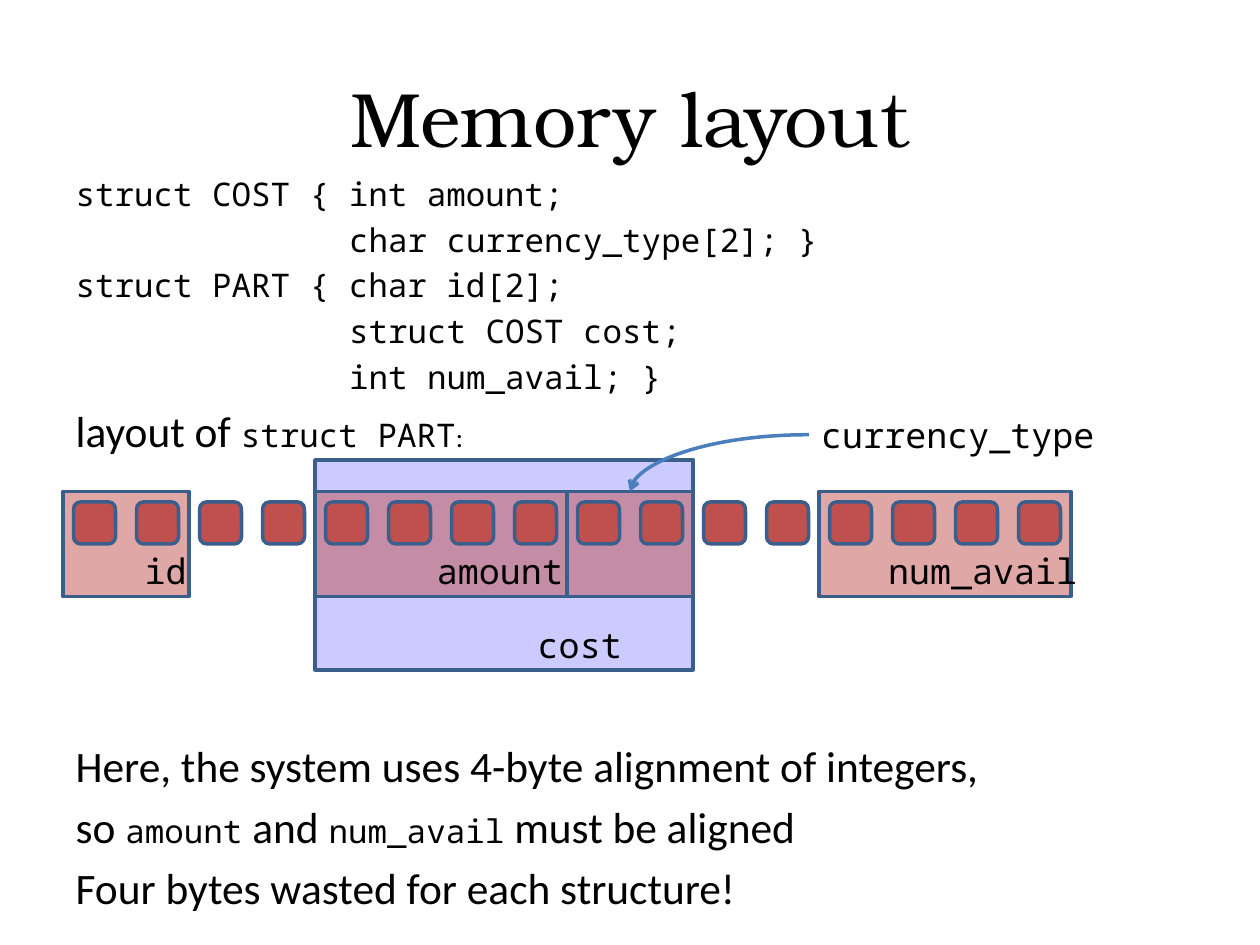
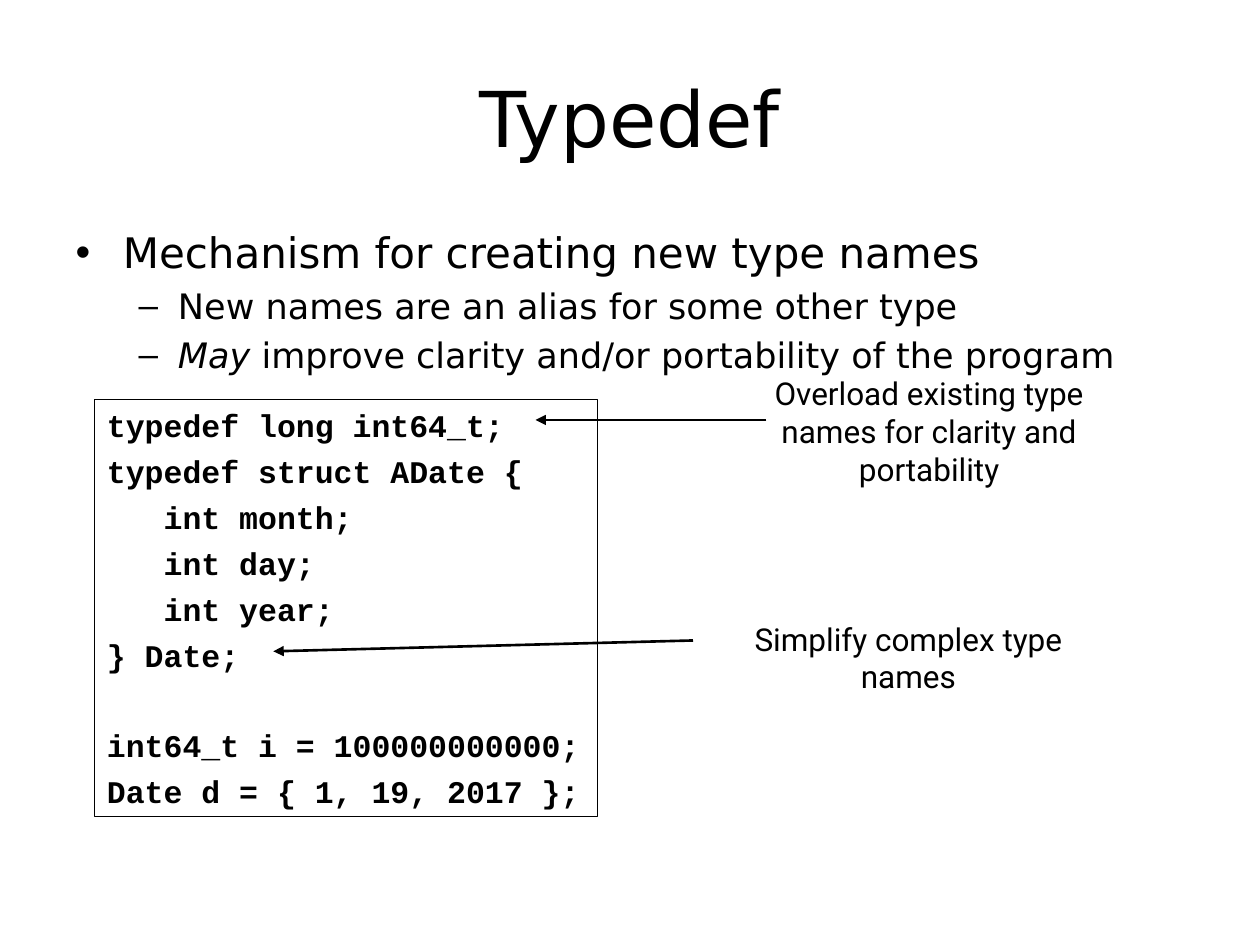
from dataclasses import dataclass

from lxml.etree import SubElement as Sub
from pptx import Presentation
from pptx.dml.color import RGBColor as RGB
from pptx.enum.shapes import MSO_CONNECTOR as Conn, MSO_SHAPE as Shape
from pptx.enum.text import MSO_ANCHOR as Anchor, MSO_AUTO_SIZE as Fit, PP_ALIGN as Align
from pptx.oxml.ns import qn
from pptx.util import Pt


@dataclass(frozen=True)
class Theme:
    black: RGB = RGB(0, 0, 0)
    red: RGB = RGB(0xC0, 0x50, 0x4D)
    lilac: RGB = RGB(0x99, 0x99, 0xFF)
    edge: RGB = RGB(0x3A, 0x5F, 0x8C)
    blue: RGB = RGB(0x4B, 0x7E, 0xBC)
    sans: str = "DejaVu Sans"
    serif: str = "TeX Gyre Bonum"
    text: str = "Calibri"
    mono: str = "Noto Sans Mono"
    code: str = "Courier New"
    note: str = "Roboto"
    title: float = 44
    head: float = 24
    sub: float = 20
    small: float = 18


T = Theme()
PROSE = dict(name=T.text, size=Pt(24.8))
MONO = dict(name=T.mono, size=Pt(18.6))
COLON = dict(name=T.text, size=Pt(15.5))
LABEL = dict(name=T.mono, size=Pt(T.sub))
CODE = dict(name=T.code, size=Pt(T.small), bold=True)
NOTE = dict(name=T.note, size=Pt(T.small))
HEAD = dict(name=T.sans, size=Pt(T.head))
SUB = dict(name=T.sans, size=Pt(T.sub))
SUB_IT = SUB | dict(italic=True)


# Shared helpers
def put(obj, **vals):
    for key, val in vals.items():
        setattr(obj, key, val)


def place(shape, box):
    put(shape, **dict(zip(("left", "top", "width", "height"), map(Pt, box))))


def fill_text(frame, lines):
    """Each line is a list of (text, format) pairs."""
    paras = []
    for i, line in enumerate(lines):
        para = frame.add_paragraph() if i else frame.paragraphs[0]
        for text, fmt in line:
            run = para.add_run()
            run.text = text
            put(run.font, **fmt)
            run.font.color.rgb = T.black
        paras.append(para)
    return paras


def indent(para, left, first=0):
    props = para._p.get_or_add_pPr()
    props.set("marL", str(Pt(left)))
    props.set("indent", str(Pt(first)))
    return props


def start(deck, title, font, box):
    slide = deck.slides.add_slide(deck.slide_layouts[1])
    head, body = slide.placeholders
    place(head, (36, 21.6, 648, 90))
    fill_text(head.text_frame, [[(title, dict(name=font, size=Pt(T.title)))]])
    head.text_frame.vertical_anchor = Anchor.MIDDLE
    place(body, box)
    body.text_frame.auto_size = Fit.NONE
    return slide, body.text_frame


def block(slide, kind, box, color=None, edge=T.edge, width=2, alpha=None):
    shape = slide.shapes.add_shape(kind, *map(Pt, box))
    shape.shadow.inherit = False
    put(shape.line, width=Pt(width))
    shape.line.color.rgb = edge
    if color is None:
        shape.fill.background()
    else:
        shape.fill.solid()
        shape.fill.fore_color.rgb = color
    if alpha:
        tint = shape._element.spPr.find(qn("a:solidFill"))[0]
        Sub(tint, qn("a:alpha")).set("val", str(alpha * 1000))
    return shape


def label(slide, box, text, fmt, wrap=False, align=Align.LEFT):
    area = slide.shapes.add_textbox(*map(Pt, box))
    put(area.text_frame, word_wrap=wrap, auto_size=Fit.SHAPE_TO_FIT_TEXT)
    fill_text(area.text_frame, [[(text, fmt)]])[0].alignment = align


def arrow(slide, ends, color, width, tip, kind=Conn.STRAIGHT):
    link = slide.shapes.add_connector(kind, *map(Pt, ends))
    link.line.width = Pt(width)
    link.line.color.rgb = color
    Sub(link.line._get_or_add_ln(), qn("a:tailEnd")).set("type", tip)
    Sub(link._element.spPr, qn("a:effectLst"))
    return link


# Memory layout slide
def structs(frame):
    code = [
        ("struct COST { int amount;", 0),
        ("char currency_type[2]; }", 14),
        ("struct PART { char id[2];", 0),
        ("struct COST cost;", 14),
        ("int num_avail; }", 14),
    ]
    lines = [[(text, MONO)] for text, _ in code] + [
        [("layout of ", PROSE), ("struct PART", MONO), (":", COLON)],
        [("Here, the system uses 4-byte alignment of integers,", PROSE)],
        [("so ", PROSE), ("amount", MONO), (" and ", PROSE),
         ("num_avail", MONO), (" must be aligned", PROSE)],
        [("Four bytes wasted for each structure!", PROSE)],
    ]
    paras = fill_text(frame, lines)
    for para in paras:
        Sub(indent(para, 21.6, -21.6), qn("a:buNone"))
    for para, (_, cols) in zip(paras, code):
        if cols:
            indent(para, cols * 0.6 * 18.6)
    paras[6].space_before = Pt(161.7)  # room for the byte map


def byte_map(slide, x, y, step=36):
    # Fields: first byte, byte count
    block(slide, Shape.RECTANGLE, (x + 4 * step, y - 18, 6 * step, 120), T.lilac, alpha=50)
    for first, count in ((12, 4), (8, 2), (4, 4), (0, 2)):
        box = (x + first * step, y, count * step, 60)
        block(slide, Shape.RECTANGLE, box, T.red, alpha=50)
    for i in range(16):
        box = (x + i * step + 6, y + 6, 24, 24)
        block(slide, Shape.ROUNDED_RECTANGLE, box, T.red)
    # Field names: offset from the map, width
    for text, dx, dy, wide in (
        ("id", 39.6, 29.5, 38.9),
        ("amount", 206.6, 29.5, 87.1),
        ("num_avail", 464.4, 29.5, 123.8),
        ("cost", 264.2, 72, 63.4),
        ("currency_type", 426.2, -48.2, 172.1),
    ):
        label(slide, (x + dx, y + dy, wide, 31.7), text, LABEL)
    ends = (x + 426.2, y - 32.4, x + 9 * step, y)
    link = arrow(slide, ends, T.blue, 2, "arrow", Conn.CURVE)
    link._element.spPr.find(qn("a:prstGeom")).set("prst", "curvedConnector2")


def memory(deck):
    slide, frame = start(deck, "Memory layout", T.serif, (36, 96, 648, 388.8))
    structs(frame)
    byte_map(slide, 36, 280.8)


# Typedef slide
def code_box(slide, box):
    # Text, indent in columns, space before
    code = [
        ("typedef long int64_t;", 0, 4.7),
        ("typedef struct ADate {", 0, 4.7),
        ("int month;", 3, 4.7),
        ("int day;", 3, 4.7),
        ("int year;", 3, 4.7),
        ("} Date;", 0, 4.7),
        ("int64_t i = 100000000000;", 0, 29.8),
        ("Date d = { 1, 19, 2017 };", 0, 4.7),
    ]
    frame = block(slide, Shape.RECTANGLE, box, edge=T.black, width=0.75).text_frame
    put(frame, word_wrap=False, auto_size=Fit.NONE, vertical_anchor=Anchor.TOP)
    paras = fill_text(frame, [[(text, CODE)] for text, *_ in code])
    for para, (_, cols, gap) in zip(paras, code):
        put(para, alignment=Align.LEFT, space_before=Pt(gap))
        indent(para, cols * 0.6 * T.small)


def notes(slide, x, y):
    for text, box, ends in (
        ("Overload existing type names for clarity and portability",
         (x + 24, y, 221.8, 72), (x + 42, y + 29.8, x - 90, y + 29.8)),
        ("Simplify complex type names",
         (x, y + 140.4, 246.2, 50), (x, y + 155.8, x - 239.8, y + 162)),
    ):
        arrow(slide, ends, T.black, 1.5, "triangle")
        label(slide, box, text, NOTE, True, Align.CENTER)


def typedef(deck):
    slide, frame = start(deck, "Typedef", T.sans, (36, 126, 648, 356.4))
    paras = fill_text(frame, [
        [("Mechanism for creating new type names", HEAD)],
        [("New names are an alias for some other type", SUB)],
        [("May", SUB_IT), (" improve clarity and/or portability of the program", SUB)],
    ])
    for para in paras[1:]:
        para.level = 1
    code_box(slide, (54, 228.2, 287.3, 238.3))
    notes(slide, 396, 210.2)


def main():
    deck = Presentation()
    put(deck, slide_width=Pt(720), slide_height=Pt(540))
    memory(deck)
    typedef(deck)
    deck.save("out.pptx")


if __name__ == "__main__":
    main()
